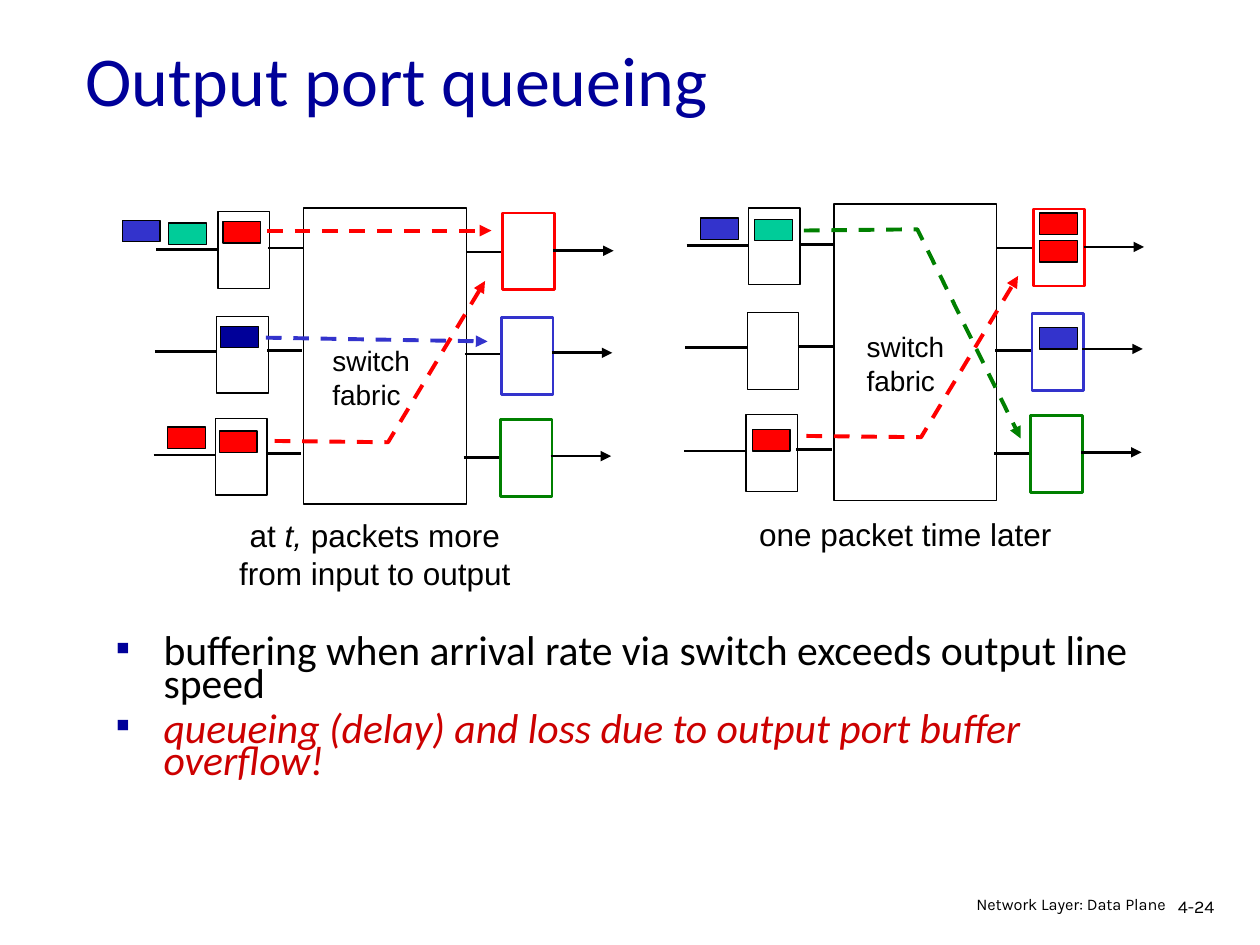
from dataclasses import dataclass

from lxml.etree import SubElement
from pptx import Presentation
from pptx.dml.color import RGBColor
from pptx.enum.dml import MSO_LINE
from pptx.enum.shapes import MSO_CONNECTOR, MSO_SHAPE
from pptx.enum.text import MSO_ANCHOR, PP_ALIGN
from pptx.oxml.ns import qn
from pptx.util import Inches, Pt

BLACK, WHITE, RED, BLUE = "000000", "FFFFFF", "FF0000", "3333CC"
GREEN, TEAL, NAVY, CRIMSON = "008000", "00CC99", "000099", "CC0000"

Point = tuple[float, float]


@dataclass
class Row:
    """One input port, its links and its output port, relative to the fabric."""
    shift: float
    port_top: float
    link_top: float
    output_color: str


@dataclass
class Packet:
    left: float
    top: float
    color: str


@dataclass
class Route:
    points: list[Point]
    color: str


ROWS = [
    Row(0, 0.03, 0.32, RED),
    Row(-0.01, 0.86, 1.13, BLUE),
    Row(-0.02, 1.67, 1.95, GREEN),
]
SWITCHES = [(2.41, 1.65), (6.62, 1.62)]
PACKETS = [
    Packet(0.97, 1.75, BLUE), Packet(1.34, 1.77, TEAL), Packet(1.77, 1.76, RED),
    Packet(1.75, 2.59, NAVY), Packet(1.33, 3.39, RED), Packet(1.74, 3.42, RED),
    Packet(5.56, 1.73, BLUE), Packet(5.99, 1.74, TEAL), Packet(5.97, 3.41, RED),
    Packet(8.25, 1.69, RED), Packet(8.25, 1.91, RED), Packet(8.25, 2.6, BLUE),
]
ROUTES = [
    Route([(2.12, 1.83), (3.9, 1.83)], RED),
    Route([(2.11, 2.68), (3.87, 2.71)], BLUE),
    Route([(2.18, 3.5), (3.08, 3.51), (3.85, 2.23)], RED),
    Route([(6.4, 3.46), (7.31, 3.47), (8.08, 2.19)], RED),
    Route([(6.38, 1.83), (7.28, 1.82), (8.1, 3.48)], GREEN),
]


def rgb(color: str) -> RGBColor:
    return RGBColor.from_string(color)


def add_box(slide, left: float, top: float, width: float, height: float,
            fill: str, line: str = BLACK, line_width: float = 0.75):
    shape = slide.shapes.add_shape(MSO_SHAPE.RECTANGLE, Inches(left), Inches(top),
                                   Inches(width), Inches(height))
    shape.shadow.inherit = False
    shape.fill.solid()
    shape.fill.fore_color.rgb = rgb(fill)
    shape.line.color.rgb = rgb(line)
    shape.line.width = Pt(line_width)


def add_arrowhead(line):
    SubElement(line._get_or_add_ln(), qn("a:tailEnd"), type="triangle")


def add_line(slide, start: Point, end: Point, color: str = BLACK, width: float = 1.5):
    connector = slide.shapes.add_connector(MSO_CONNECTOR.STRAIGHT,
                                           *map(Inches, start + end))
    connector.line.color.rgb = rgb(color)
    connector.line.width = Pt(width)
    SubElement(connector._element.spPr, qn("a:effectLst"))
    return connector


def add_route(slide, route: Route):
    """Draw a dashed arrow, straight or bent."""
    start, *others = route.points
    if len(others) == 1:
        shape = add_line(slide, start, others[0])
    else:
        builder = slide.shapes.build_freeform(*map(Inches, start))
        builder.add_line_segments([tuple(map(Inches, point)) for point in others],
                                  close=False)
        shape = builder.convert_to_shape()
        shape.shadow.inherit = False
        shape.fill.background()
    shape.line.color.rgb = rgb(route.color)
    shape.line.width = Pt(2.25)
    shape.line.dash_style = MSO_LINE.DASH
    add_arrowhead(shape.line)


def add_switch(slide, left: float, top: float):
    add_box(slide, left, top, 1.29, 2.35, WHITE)
    for row in ROWS:
        x, port_top, y = left + row.shift, top + row.port_top, top + row.link_top
        add_box(slide, x - 0.68, port_top, 0.41, 0.61, WHITE)
        add_box(slide, x + 1.58, port_top + 0.01, 0.41, 0.61, WHITE,
                row.output_color, 1.5)
        add_line(slide, (x - 1.17, y + 0.01), (x - 0.68, y + 0.01))
        add_line(slide, (x - 0.28, y), (x, y))
        add_line(slide, (x + 1.29, y + 0.03), (x + 1.57, y + 0.03))
        output = add_line(slide, (x + 1.98, y + 0.02), (x + 2.46, y + 0.02))
        add_arrowhead(output.line)


def add_text(slide, left: float, top: float, width: float, height: float,
             lines: list[str], font: str, size: float, color: str = BLACK,
             align=PP_ALIGN.LEFT, spacing: float = 1.0):
    frame = slide.shapes.add_textbox(Inches(left), Inches(top),
                                     Inches(width), Inches(height)).text_frame
    frame.word_wrap = True
    frame.text = "\n".join(lines)
    for paragraph in frame.paragraphs:
        paragraph.alignment = align
        paragraph.line_spacing = spacing
        for run in paragraph.runs:
            run.font.name = font
            run.font.size = Pt(size)
            run.font.color.rgb = rgb(color)
    return frame


def add_bullet(paragraph):
    properties = paragraph._p.get_or_add_pPr()
    properties.set("marL", str(Inches(0.38)))
    properties.set("indent", str(-Inches(0.38)))
    color = SubElement(properties, qn("a:buClr"))
    SubElement(color, qn("a:srgbClr"), val=NAVY)
    SubElement(properties, qn("a:buFont"), typeface="Arial")
    SubElement(properties, qn("a:buChar"), char="▪")


def add_caption(slide):
    """Write the left caption, with the time variable in italics."""
    frame = add_text(slide, 1.63, 4.05, 2.69, 0.7, ["at ", "from input to output"],
                     "Arial", 18, align=PP_ALIGN.CENTER)
    for text, italic in (("t,", True), (" packets more", False)):
        run = frame.paragraphs[0].add_run()
        run.text = text
        run.font.name = "Arial"
        run.font.size = Pt(18)
        run.font.color.rgb = rgb(BLACK)
        run.font.italic = italic


def main():
    presentation = Presentation()
    presentation.slide_width, presentation.slide_height = Inches(10), Inches(7.5)
    slide = presentation.slides.add_slide(presentation.slide_layouts[6])

    title = add_text(slide, 0.58, 0.22, 8.5, 0.8, ["Output port queueing"],
                     "Calibri", 40, NAVY)
    title.vertical_anchor = MSO_ANCHOR.MIDDLE

    points = add_text(slide, 0.82, 5.03, 8.5, 1.3, [
        "buffering when arrival rate via switch exceeds output line speed",
        "queueing (delay) and loss due to output port buffer overflow!",
    ], "Calibri", 23.8, spacing=0.65)
    for paragraph in points.paragraphs:
        add_bullet(paragraph)
    warning = points.paragraphs[1]
    warning.space_before = Pt(7)
    warning.runs[0].font.italic = True
    warning.runs[0].font.color.rgb = rgb(CRIMSON)

    for left, top in SWITCHES:
        add_switch(slide, left, top)
    for packet in PACKETS:
        add_box(slide, packet.left, packet.top, 0.3, 0.17, packet.color)
    for left, top in ((2.54, 2.68), (6.78, 2.57)):
        add_text(slide, left, top, 0.95, 0.64, ["switch", "fabric"], "Arial", 16)
    for route in ROUTES:
        add_route(slide, route)

    add_caption(slide)
    add_text(slide, 5.84, 4.04, 2.69, 0.4, ["one packet time later"], "Arial", 18,
             align=PP_ALIGN.CENTER)
    add_text(slide, 9.25, 7.08, 0.61, 0.3, ["4-24"], "Karla", 10.2, spacing=0.9)
    add_text(slide, 6.97, 7.08, 2.38, 0.26, ["Network Layer: Data Plane"], "Karla", 9.3,
             align=PP_ALIGN.RIGHT, spacing=0.8)
    presentation.save("out.pptx")


if __name__ == "__main__":
    main()
